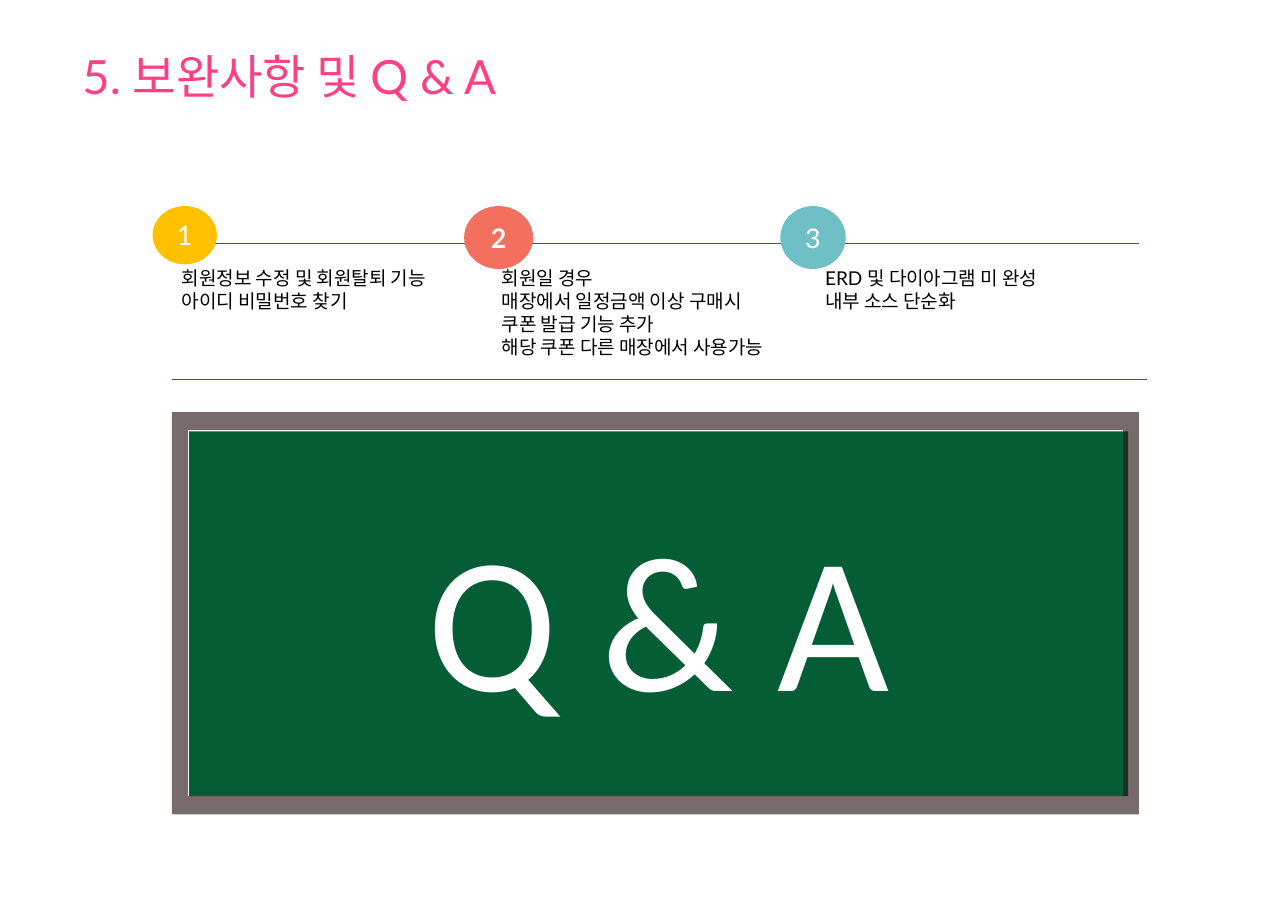
from dataclasses import dataclass

import pptx
import pptx.dml.color
import pptx.enum.shapes
import pptx.enum.text
import pptx.oxml.ns
import pptx.slide
import pptx.text.text
import pptx.util
from lxml import etree

Pt = pptx.util.Pt
RGBColor = pptx.dml.color.RGBColor
Align = pptx.enum.text.PP_ALIGN
Anchor = pptx.enum.text.MSO_ANCHOR
AutoSize = pptx.enum.text.MSO_AUTO_SIZE
ShapeType = pptx.enum.shapes.MSO_SHAPE
qn = pptx.oxml.ns.qn

WHITE = RGBColor(0xFF, 0xFF, 0xFF)
BLACK = RGBColor(0, 0, 0)
PINK = RGBColor(0xFD, 0x40, 0x84)
NAVY = RGBColor(0x44, 0x54, 0x6A)
BOARD_GREEN = RGBColor(0x04, 0x5D, 0x35)
FRAME_BROWN = RGBColor(0x2B, 0x17, 0x19)
YELLOW = RGBColor(0xFF, 0xC0, 0x00)
CORAL = RGBColor(0xF4, 0x70, 0x5E)
TEAL = RGBColor(0x6E, 0xBF, 0xC6)


@dataclass(frozen=True)
class Box:
    left: float
    top: float
    width: float
    height: float

    def lengths(self) -> tuple:
        return Pt(self.left), Pt(self.top), Pt(self.width), Pt(self.height)

    def corners(self) -> list:
        left, top, width, height = self.lengths()
        right, bottom = left + width, top + height
        return [(left, top), (right, top), (right, bottom), (left, bottom)]


@dataclass(frozen=True)
class TextStyle:
    size: float
    color: RGBColor
    font: str = "Lato"
    align: Align = Align.LEFT
    bold: bool = False


@dataclass(frozen=True)
class Improvement:
    number: str
    color: RGBColor
    badge: Box
    notes: Box
    lines: tuple
    bold: bool = False


@dataclass(frozen=True)
class Rule:
    left: float
    right: float
    y: float


IMPROVEMENTS = (
    Improvement("1", YELLOW, Box(90.7, 122.4, 38.2, 34.6), Box(100.8, 154.8, 190, 48.2),
                ("회원정보 수정 및 회원탈퇴 기능", "아이디 비밀번호 찾기")),
    Improvement("2", CORAL, Box(275.8, 122.4, 41, 37.4), Box(290.9, 154.8, 198, 62),
                ("회원일 경우", "매장에서 일정금액 이상 구매시", "쿠폰 발급 기능 추가",
                 "해당 쿠폰 다른 매장에서 사용가능"), bold=True),
    Improvement("3", TEAL, Box(463.7, 122.4, 38.9, 37.4), Box(483.1, 154.8, 206, 34.6),
                ("ERD 및 다이아그램 미 완성", "내부 소스 단순화")),
)
RULES = (Rule(102.2, 676.8, 144.7), Rule(102.2, 681.8, 225.4))
FRAME_OUTER = Box(102.2, 244.8, 574.6, 239)
FRAME_INNER = Box(111.6, 255.6, 555.8, 217.4)
BOARD = Box(112.3, 256.3, 558, 216.7)


def place(shape, box: Box) -> None:
    shape.left, shape.top, shape.width, shape.height = box.lengths()


def write(frame: pptx.text.text.TextFrame, lines: tuple, style: TextStyle, anchor: Anchor) -> None:
    frame.word_wrap = True
    frame.auto_size = AutoSize.NONE
    frame.vertical_anchor = anchor
    for index, line in enumerate(lines):
        paragraph = frame.add_paragraph() if index else frame.paragraphs[0]
        properties = paragraph._p.get_or_add_pPr()
        properties.set("marL", "0")
        properties.set("indent", "0")
        etree.SubElement(properties, qn("a:buNone"))
        paragraph.alignment = style.align
        paragraph.space_before = Pt(0)
        run = paragraph.add_run()
        run.text = line
        run.font.name = style.font
        run.font.size = Pt(style.size)
        run.font.bold = style.bold
        run.font.color.rgb = style.color


def paint(shape, color: RGBColor) -> None:
    shape.shadow.inherit = False
    shape.fill.solid()
    shape.fill.fore_color.rgb = color
    shape.line.fill.background()


def draw_label(slide: pptx.slide.Slide, kind: ShapeType, box: Box, color: RGBColor,
               text: str, style: TextStyle) -> None:
    shape = slide.shapes.add_shape(kind, *box.lengths())
    paint(shape, color)
    write(shape.text_frame, (text,), style, Anchor.MIDDLE)


def draw_rule(slide: pptx.slide.Slide, rule: Rule) -> None:
    connector = slide.shapes.add_connector(
        pptx.enum.shapes.MSO_CONNECTOR.STRAIGHT,
        Pt(rule.left), Pt(rule.y), Pt(rule.right), Pt(rule.y))
    connector.line.color.rgb = NAVY
    connector.line.width = Pt(0.5)
    etree.SubElement(connector._element.spPr, qn("a:effectLst"))


def draw_frame(slide: pptx.slide.Slide, outer: Box, inner: Box) -> None:
    outer_corners = outer.corners()
    inner_corners = inner.corners()[::-1]
    builder = slide.shapes.build_freeform(*outer_corners[0])
    builder.add_line_segments(outer_corners[1:], close=True)
    builder.move_to(*inner_corners[0])
    builder.add_line_segments(inner_corners[1:], close=True)
    frame = builder.convert_to_shape()
    paint(frame, FRAME_BROWN)
    color = frame._element.spPr.find(qn("a:solidFill"))[0]
    etree.SubElement(color, qn("a:alpha")).set("val", "64000")


def main() -> None:
    presentation = pptx.Presentation()
    presentation.slide_width = Pt(765.36)
    presentation.slide_height = Pt(540)
    slide = presentation.slides.add_slide(presentation.slide_layouts.get_by_name("Comparison"))

    title = slide.shapes.title
    place(title, Box(41.8, 0, 346.3, 90))
    write(title.text_frame, ("5. 보완사항 및 Q & A",), TextStyle(28, PINK), Anchor.MIDDLE)

    title_shape, *bodies = slide.placeholders
    for body, item in zip(bodies, IMPROVEMENTS):
        place(body, item.notes)
        write(body.text_frame, item.lines, TextStyle(11.3, BLACK), Anchor.TOP)
    for unused in bodies[len(IMPROVEMENTS):]:
        unused._element.getparent().remove(unused._element)

    draw_label(slide, ShapeType.RECTANGLE, BOARD, BOARD_GREEN, "Q & A",
               TextStyle(115, WHITE, font="Calibri", align=Align.CENTER))
    draw_frame(slide, FRAME_OUTER, FRAME_INNER)
    for rule in RULES:
        draw_rule(slide, rule)
    for item in IMPROVEMENTS:
        draw_label(slide, ShapeType.OVAL, item.badge, item.color, item.number,
                   TextStyle(16, WHITE, align=Align.CENTER, bold=item.bold))

    presentation.save("out.pptx")


if __name__ == "__main__":
    main()
